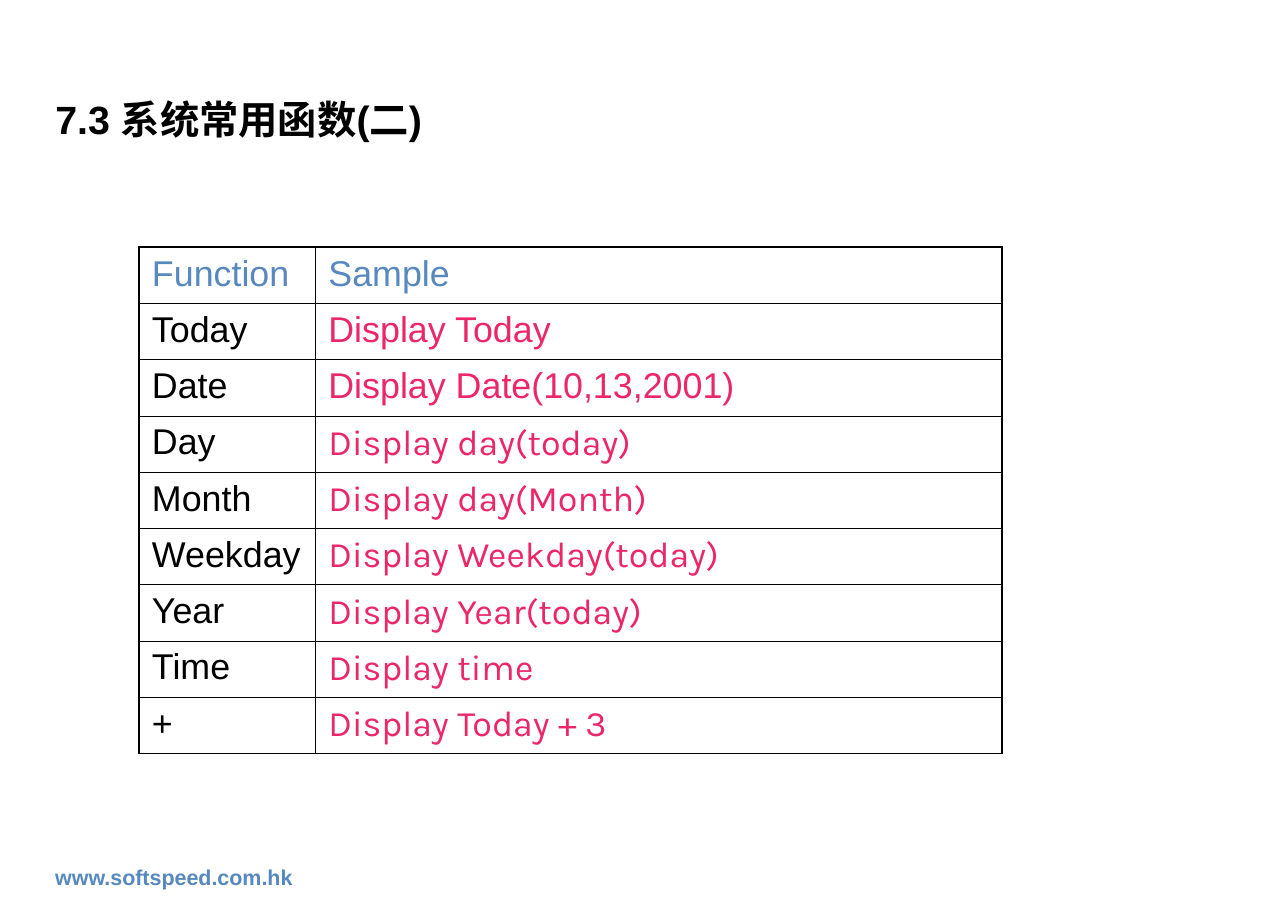
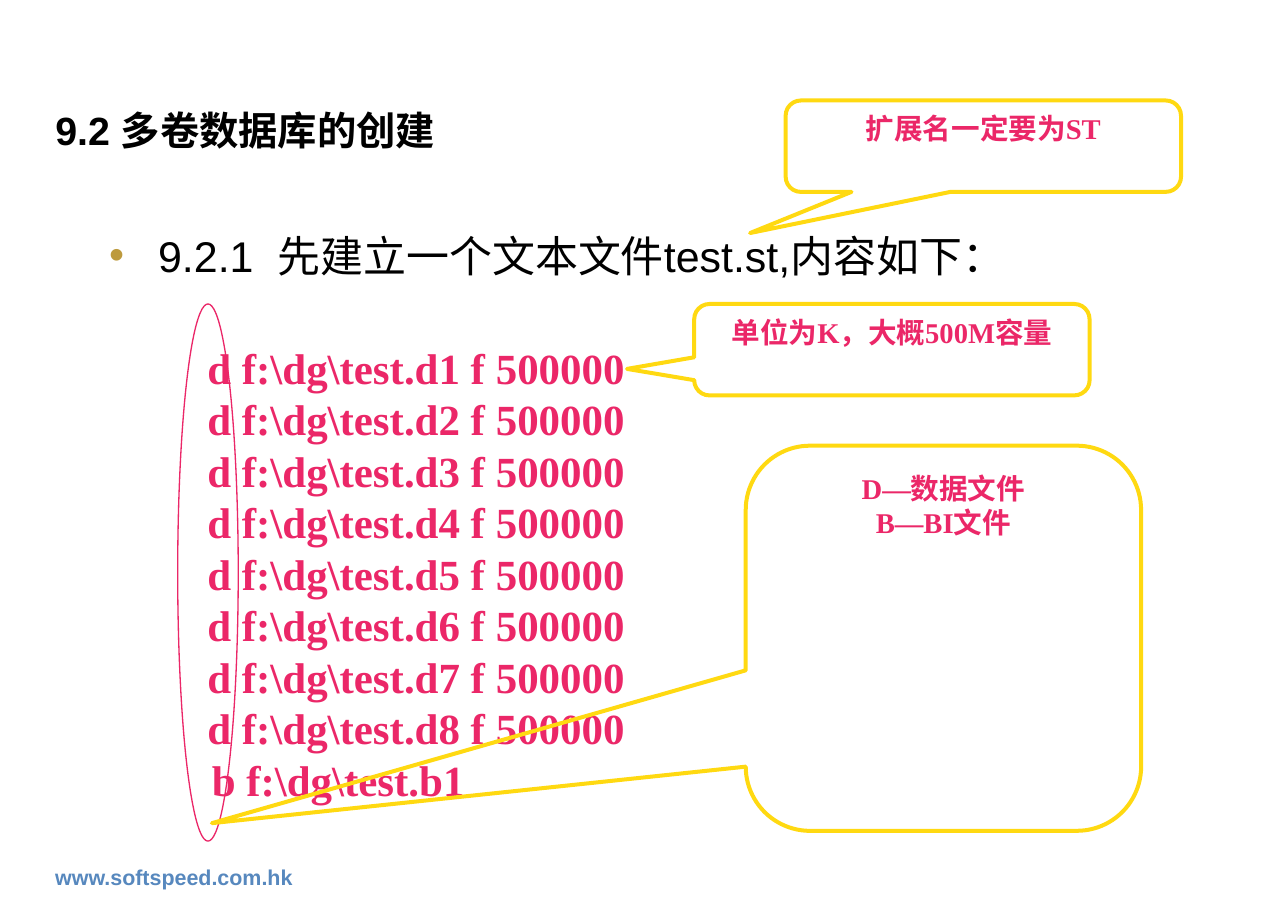
from dataclasses import dataclass

from lxml.etree import SubElement
from pptx import Presentation
from pptx.dml.color import RGBColor
from pptx.enum.shapes import MSO_SHAPE as Preset
from pptx.enum.text import MSO_ANCHOR as Anchor, PP_ALIGN as Align
from pptx.oxml.ns import qn
from pptx.util import Inches, Pt


# Colours, fonts and type sizes
@dataclass(frozen=True)
class Theme:
    black: str = "000000"
    blue: str = "5788BE"
    pink: str = "EB2768"
    yellow: str = "FFD911"
    gold: str = "BD9A3D"
    sans: str = "Arial"
    serif: str = "Times New Roman"
    title_han: str = "Montserrat"
    sample: str = "Karla"
    title_size: float = 22
    body_size: float = 24
    table_size: float = 20
    note_size: float = 16
    footer_size: float = 12
    leading: float = 1.2
    outer_border: float = 1.08
    inner_border: float = 0.45


THEME = Theme()


@dataclass(frozen=True)
class Area:
    left: float
    top: float
    width: float
    height: float

    def lengths(self) -> tuple:
        return tuple(Inches(v) for v in (self.left, self.top, self.width, self.height))


@dataclass(frozen=True)
class Callout:
    area: Area
    tip: tuple[float, float]
    lines: tuple[str, ...]


# Slide content
FUNCTIONS = [
    ("Function", "Sample"),
    ("Today", "Display Today"),
    ("Date", "Display Date(10,13,2001)"),
    ("Day", "Display day(today)"),
    ("Month", "Display day(Month)"),
    ("Weekday", "Display Weekday(today)"),
    ("Year", "Display Year(today)"),
    ("Time", "Display time"),
    ("+", "Display Today + 3"),
]
FIRST_KARLA_ROW = 3
COLUMN_WIDTHS = (1.37, 5.33)

EXTENSION_NOTE = Callout(Area(6.1, 0.78, 3.07, 0.71), (-0.59, 0.95), ("扩展名一定要为ST",))
UNIT_NOTE = Callout(Area(5.39, 2.36, 3.07, 0.71), (-0.67, 0.21), ("单位为K，大概500M容量",))
KIND_NOTE = Callout(Area(5.79, 3.46, 3.07, 2.99), (-1.85, 0.48),
                    ("D—数据文件", "B—BI文件"))


# Text helpers
def add_span(para, text: str, *, size: float, font: str = THEME.sans,
             color: str = THEME.black, bold: bool = False, spacing: float = 0) -> None:
    span = para.add_run()
    span.text = text
    span.font.size = Pt(size)
    span.font.name = font
    span.font.bold = bold
    span.font.color.rgb = RGBColor.from_string(color)
    if spacing:
        span.font._element.set("spc", str(round(spacing * 100)))


def add_lines(frame, lines, *, align=Align.LEFT, leading: float = 0, **style) -> None:
    for index, line in enumerate(lines):
        para = frame.paragraphs[0] if index == 0 else frame.add_paragraph()
        para.alignment = align
        if leading:
            para.line_spacing = Pt(style["size"] * leading)
        add_span(para, line, **style)


def add_text_box(page, area: Area):
    frame = page.shapes.add_textbox(*area.lengths()).text_frame
    frame.word_wrap = True
    return frame


# Parts every slide shares
def add_page(deck, area: Area, title: list[tuple[str, str]], bottom_inset: float = 0.05):
    page = deck.slides.add_slide(deck.slide_layouts[5])
    box = page.shapes.title
    box.left, box.top, box.width, box.height = area.lengths()
    frame = box.text_frame
    frame.vertical_anchor = Anchor.MIDDLE
    frame.margin_bottom = Inches(bottom_inset)
    para = frame.paragraphs[0]
    para.alignment = Align.LEFT
    for text, font in title:
        add_span(para, text, size=THEME.title_size, font=font, bold=True)
    footer = add_text_box(page, Area(0.33, 6.66, 3.42, 0.3))
    add_lines(footer, ["www.softspeed.com.hk"], size=THEME.footer_size,
              color=THEME.blue, bold=True)
    return page


# Function table
def set_borders(cell, **widths: float) -> None:
    properties = cell._tc.get_or_add_tcPr()
    for side in ("L", "R", "T", "B"):
        line = SubElement(properties, qn(f"a:ln{side}"), w=str(Pt(widths[side])))
        fill = SubElement(line, qn("a:solidFill"))
        SubElement(fill, qn("a:srgbClr"), val=THEME.black)


def add_function_table(page, area: Area) -> None:
    row_count, column_count = len(FUNCTIONS), len(COLUMN_WIDTHS)
    table = page.shapes.add_table(row_count, column_count, *area.lengths()).table
    table.first_row = table.horz_banding = False
    for column, width in zip(table.columns, COLUMN_WIDTHS):
        column.width = Inches(width)

    def border(is_outer: bool) -> float:
        return THEME.outer_border if is_outer else THEME.inner_border

    for row, texts in enumerate(FUNCTIONS):
        for column, text in enumerate(texts):
            cell = table.cell(row, column)
            set_borders(cell, L=border(column == 0), R=border(column == column_count - 1),
                        T=border(row == 0), B=border(row == row_count - 1))
            cell.fill.background()
            is_sample = column == 1
            color = THEME.blue if row == 0 else THEME.pink if is_sample else THEME.black
            font = THEME.sample if is_sample and row >= FIRST_KARLA_ROW else THEME.sans
            add_lines(cell.text_frame, [text], size=THEME.table_size, font=font, color=color)


# Outlined shapes
def add_outline(page, preset, area: Area, color: str, width: float):
    shape = page.shapes.add_shape(preset, *area.lengths())
    shape.shadow.inherit = False
    shape.fill.background()
    shape.line.color.rgb = RGBColor.from_string(color)
    shape.line.width = Pt(width)
    return shape


def add_callout(page, note: Callout) -> None:
    shape = add_outline(page, Preset.ROUNDED_RECTANGULAR_CALLOUT, note.area,
                        THEME.yellow, 2.25)
    shape.adjustments[0], shape.adjustments[1] = note.tip
    shape.adjustments[2] = 0.167
    frame = shape.text_frame
    frame.word_wrap = True
    frame.vertical_anchor = Anchor.TOP
    add_lines(frame, note.lines, align=Align.CENTER, leading=THEME.leading,
              size=THEME.note_size, font=THEME.serif, color=THEME.pink, bold=True)


# Step heading and volume listing
def add_step(page, area: Area) -> None:
    para = add_text_box(page, area).paragraphs[0]
    properties = para._p.get_or_add_pPr()
    indent = Inches(0.38)
    properties.set("marL", str(indent))
    properties.set("indent", str(-indent))
    bullet_color = SubElement(properties, qn("a:buClr"))
    SubElement(bullet_color, qn("a:srgbClr"), val=THEME.gold)
    SubElement(properties, qn("a:buFont"), typeface=THEME.sans)
    SubElement(properties, qn("a:buChar"), char="•")
    add_span(para, "9.2.1", size=THEME.body_size)
    add_span(para, " ", size=THEME.body_size, spacing=6.7)
    add_span(para, "先建立一个文本文件test.st,内容如下：", size=THEME.body_size)


def add_volume_listing(page, area: Area) -> None:
    frame = add_text_box(page, area)
    lines = [rf"d f:\dg\test.d{number} f 500000" for number in range(1, 9)]
    add_lines(frame, lines + [r"  b f:\dg\test.b1"], align=Align.CENTER,
              leading=THEME.leading, size=THEME.body_size, font=THEME.serif,
              color=THEME.pink, bold=True)
    frame.paragraphs[-1].alignment = Align.LEFT


# Slides
def build_functions_page(deck) -> None:
    page = add_page(deck, Area(0.33, 0.67, 7.67, 0.5),
                    [("7.3 系统常用函数(二)", THEME.sans)])
    add_function_table(page, Area(1.08, 1.92, sum(COLUMN_WIDTHS), 3.93))


def build_volumes_page(deck) -> None:
    page = add_page(deck, Area(0.33, 0.71, 9.25, 0.94),
                    [("9.2 ", THEME.sans), ("多卷数据库的创建", THEME.title_han)],
                    bottom_inset=0.39)
    add_step(page, Area(0.75, 1.73, 8.5, 0.71))
    add_volume_listing(page, Area(1.38, 2.6, 3.7, 3.7))
    add_callout(page, EXTENSION_NOTE)
    add_callout(page, UNIT_NOTE)
    add_outline(page, Preset.OVAL, Area(1.38, 2.36, 0.47, 4.17), THEME.pink, 0.75)
    add_callout(page, KIND_NOTE)


def main() -> None:
    deck = Presentation()
    deck.slide_width, deck.slide_height = Inches(10), Inches(7.08)
    build_functions_page(deck)
    build_volumes_page(deck)
    deck.save("out.pptx")


if __name__ == "__main__":
    main()
